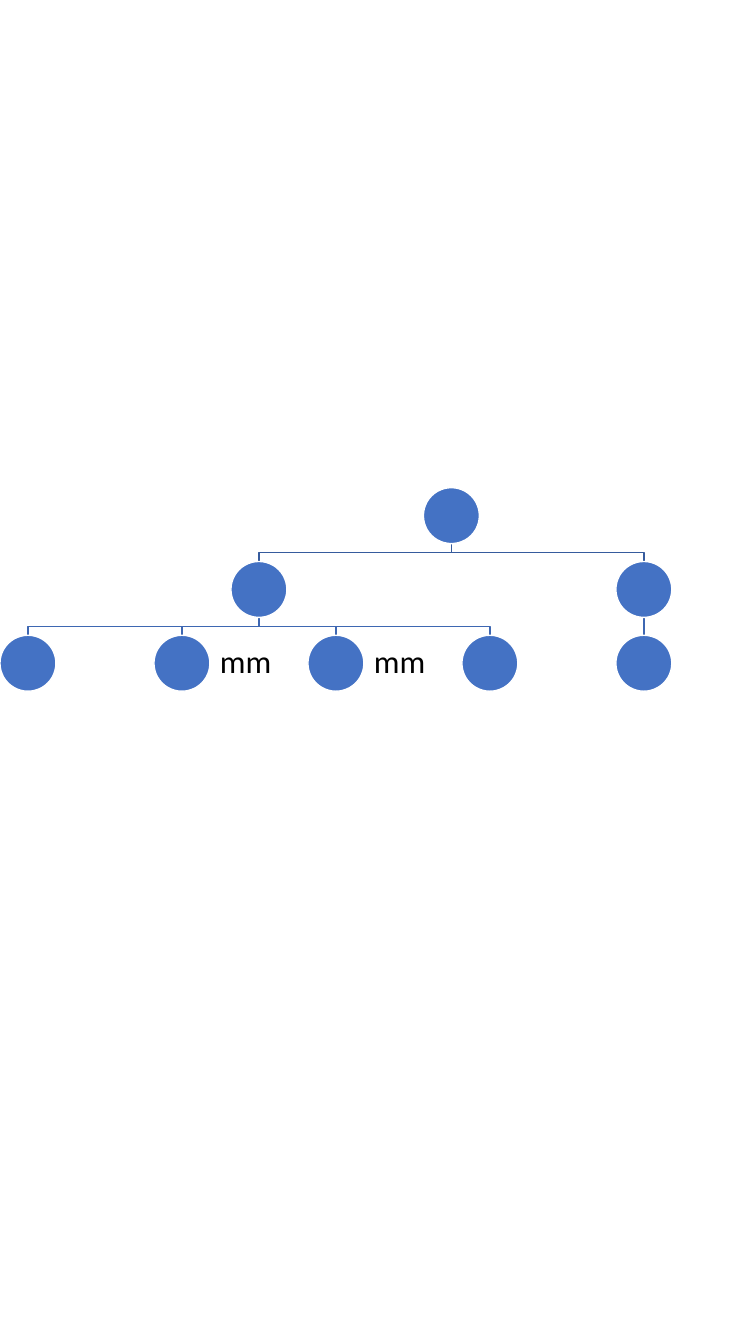
from lxml.etree import SubElement
from pptx import Presentation
from pptx.dml.color import RGBColor
from pptx.enum.shapes import MSO_CONNECTOR, MSO_SHAPE
from pptx.enum.text import MSO_ANCHOR
from pptx.oxml.ns import qn
from pptx.util import Cm, Pt

COLORS = {"node": "4472C4", "outline": "FFFFFF", "upper": "365B9D", "lower": "3E67B2", "label": "000000"}
DIAMETER = 1.41
COLUMN_STEP = 3.88
ROW_STEP = 1.86
TREE_TOP = 12.29

root, left_parent, right_parent = (2.75, 0), (1.5, 1), (4, 1)
leaves = [(column, 2) for column in range(4)]
right_leaf = (4, 2)
branches = [(right_parent, right_leaf), (root, right_parent)]
branches += [(left_parent, leaf) for leaf in reversed(leaves)]
branches += [(root, left_parent)]
labels = {leaves[1]: "mm", leaves[2]: "mm"}


def corner(node):
    column, row = node
    return column * COLUMN_STEP, TREE_TOP + row * ROW_STEP


prs = Presentation()
prs.slide_width, prs.slide_height = Cm(19.05), Cm(33.87)
slide = prs.slides.add_slide(prs.slide_layouts[6])

for parent, child in branches:
    parent_left, parent_top = corner(parent)
    child_left, child_top = corner(child)
    start_x, start_y = Cm(parent_left + DIAMETER / 2), Cm(parent_top + DIAMETER)
    end_x, end_y = Cm(child_left + DIAMETER / 2), Cm(child_top)
    if start_x == end_x:
        branch = slide.shapes.add_connector(MSO_CONNECTOR.STRAIGHT, start_x, start_y, end_x, end_y)
        SubElement(branch._element.spPr, qn("a:effectLst"))
    else:
        middle_y = (start_y + end_y) // 2
        outline = slide.shapes.build_freeform(start_x, start_y)
        outline.add_line_segments([(start_x, middle_y), (end_x, middle_y), (end_x, end_y)], close=False)
        branch = outline.convert_to_shape()
        branch.fill.background()
        branch.shadow.inherit = False
    level = "upper" if parent == root else "lower"
    branch.line.color.rgb = RGBColor.from_string(COLORS[level])
    branch.line.width = Pt(1)

for node in [root, left_parent, *leaves, right_parent, right_leaf]:
    left, top = corner(node)
    circle = slide.shapes.add_shape(MSO_SHAPE.OVAL, Cm(left), Cm(top), Cm(DIAMETER), Cm(DIAMETER))
    circle.shadow.inherit = False
    circle.fill.solid()
    circle.fill.fore_color.rgb = RGBColor.from_string(COLORS["node"])
    circle.line.color.rgb = RGBColor.from_string(COLORS["outline"])
    circle.line.width = Pt(1)

    if node in labels:
        label = slide.shapes.add_textbox(Cm(left + DIAMETER), Cm(top), Cm(2.11), Cm(DIAMETER))
        frame = label.text_frame
        frame.word_wrap = True
        frame.vertical_anchor = MSO_ANCHOR.MIDDLE
        frame.margin_left = frame.margin_right = frame.margin_top = frame.margin_bottom = Cm(0.25)
        paragraph = frame.paragraphs[0]
        paragraph.text = labels[node]
        paragraph.line_spacing = 0.9
        paragraph.font.name = "Calibri"
        paragraph.font.size = Pt(23)
        paragraph.font.color.rgb = RGBColor.from_string(COLORS["label"])

prs.save("out.pptx")
